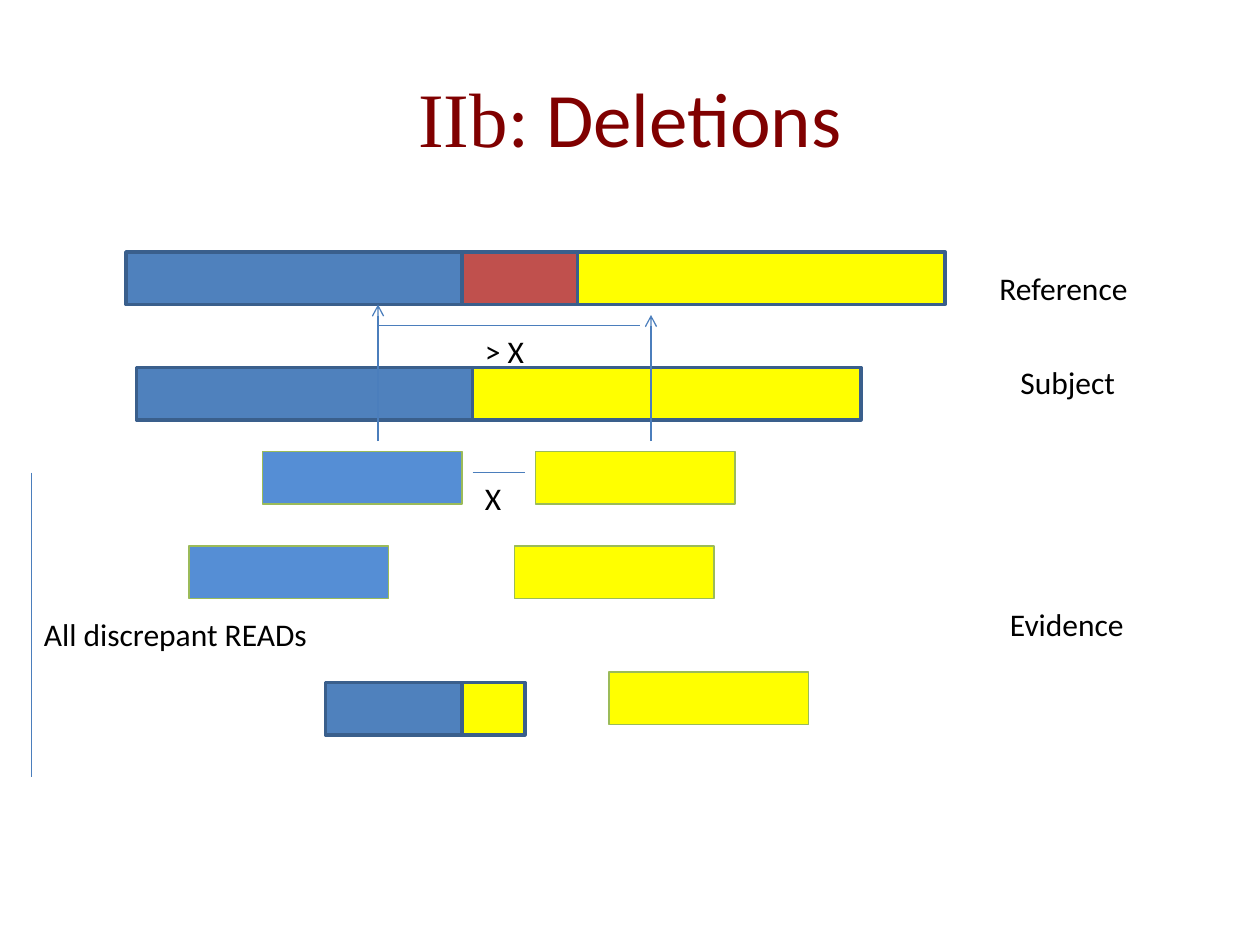
from pptx import Presentation, util as u
from pptx.dml.color import RGBColor
from pptx.enum import shapes, text
from pptx.oxml.ns import qn
from lxml import etree

COLS = 120
CELL = u.Inches(10) // COLS
BAR_ROWS = 5
BLUE = RGBColor(0x4F, 0x81, 0xBD)
READ_BLUE = RGBColor(0x55, 0x8E, 0xD5)
RED = RGBColor(0xC0, 0x50, 0x4D)
YELLOW = RGBColor(0xFF, 0xFF, 0x00)
NAVY = RGBColor(0x3A, 0x5F, 0x8C)
GREEN = RGBColor(0x9B, 0xBB, 0x59)
LINE_BLUE = RGBColor(0x4B, 0x7E, 0xBC)
MAROON = RGBColor(0x80, 0x00, 0x00)
BLACK = RGBColor(0, 0, 0)


def cells(*counts):
    """Turn counts of grid cells into lengths."""
    return [round(n * CELL) for n in counts]


def style_run(r, size, color, font="Calibri"):
    """Set the size, colour and font of a run."""
    r.font.size, r.font.name = u.Pt(size), font
    r.font.color.rgb = color


def add_block(s, col, row, cols, fill, line, weight):
    """Draw one filled rectangle of bar height."""
    sp = s.shapes.add_shape(shapes.MSO_SHAPE.RECTANGLE, *cells(col, row, cols, BAR_ROWS))
    sp.shadow.inherit = False
    sp.fill.solid()
    sp.fill.fore_color.rgb = fill
    sp.line.color.rgb, sp.line.width = line, u.Pt(weight)


def add_bar(s, col, row, segments):
    """Lay coloured segments end to end from a starting cell."""
    for cols, fill in segments:
        add_block(s, col, row, cols, fill, NAVY, 2)
        col += cols


def add_read(s, col, row, fill):
    """Draw one sequencing read."""
    add_block(s, col, row, 19, fill, GREEN, 0.75)


def add_line(s, start, end, arrow=False):
    """Draw a thin line between two cells, with an optional arrowhead."""
    c = s.shapes.add_connector(shapes.MSO_CONNECTOR.STRAIGHT, *cells(*start, *end))
    c.line.color.rgb, c.line.width = LINE_BLUE, u.Pt(0.75)
    if arrow:
        etree.SubElement(c.line._get_or_add_ln(), qn("a:tailEnd"), type="arrow")
    etree.SubElement(c._element.spPr, qn("a:effectLst"))


def add_label(s, col, row, cols, words, wrap=True):
    """Write one label in a box of one text line."""
    tf = s.shapes.add_textbox(*cells(col, row, cols, 4.8)).text_frame
    tf.word_wrap = wrap
    tf.auto_size = text.MSO_AUTO_SIZE.SHAPE_TO_FIT_TEXT
    tf.text = words
    style_run(tf.paragraphs[0].runs[0], 18, BLACK)


def add_title(s, col, row, cols, rows):
    """Write the centred two-font title in its box."""
    tf = s.shapes.add_textbox(*cells(col, row, cols, rows)).text_frame
    tf.word_wrap = True
    tf.vertical_anchor = text.MSO_ANCHOR.MIDDLE
    p = tf.paragraphs[0]
    p.alignment = text.PP_ALIGN.CENTER
    for words, font in (("IIb", "Times New Roman"), (": Deletions", "Calibri")):
        r = p.add_run()
        r.text = words
        style_run(r, 44, MAROON, font)


def add_genomes(s, col, row):
    """Draw the reference and subject bars with their labels."""
    add_bar(s, col, row, [(32, BLUE), (11, RED), (35, YELLOW)])
    add_bar(s, col + 1, row + 11, [(32, BLUE), (37, YELLOW)])
    add_label(s, col + 82, row + 1, 15, "Reference")
    add_label(s, col + 84, row + 10, 15, "Subject")


def add_evidence(s, col, row):
    """Draw the discrepant reads, their bracket line and labels."""
    reads = [(22, 0, READ_BLUE), (48, 0, YELLOW), (15, 9, READ_BLUE),
             (46, 9, YELLOW), (55, 21, YELLOW)]
    for x, y, fill in reads:
        add_read(s, col + x, row + y, fill)
    add_bar(s, col + 28, row + 22, [(13, BLUE), (6, YELLOW)])
    add_line(s, (col, row + 2), (col, row + 31))
    add_label(s, col, row + 15, 27.7, "All discrepant READs", wrap=False)
    add_label(s, col + 92, row + 14, 15, "Evidence")


def add_spans(s, col, row):
    """Draw the mapping arrows and the two distances compared."""
    add_line(s, (col, row + 13), (col, row), arrow=True)
    add_line(s, (col + 26, row + 13), (col + 26, row + 1), arrow=True)
    for x, y, end, width, words in ((9, 16, 14, 6, "X"), (0, 2, 25, 10, "> X")):
        add_line(s, (col + x, row + y), (col + end, row + y))
        add_label(s, col + 9, row + y, width, words)


def main():
    """Build and save the slide."""
    prs = Presentation()
    prs.slide_width, prs.slide_height = u.Inches(10), u.Inches(7.5)
    s = prs.slides.add_slide(prs.slide_layouts[6])
    add_title(s, 6, 3.6, 108, 15)
    add_genomes(s, 12, 24)
    add_evidence(s, 3, 43)
    add_spans(s, 36, 29)
    prs.save("out.pptx")


if __name__ == "__main__":
    main()
